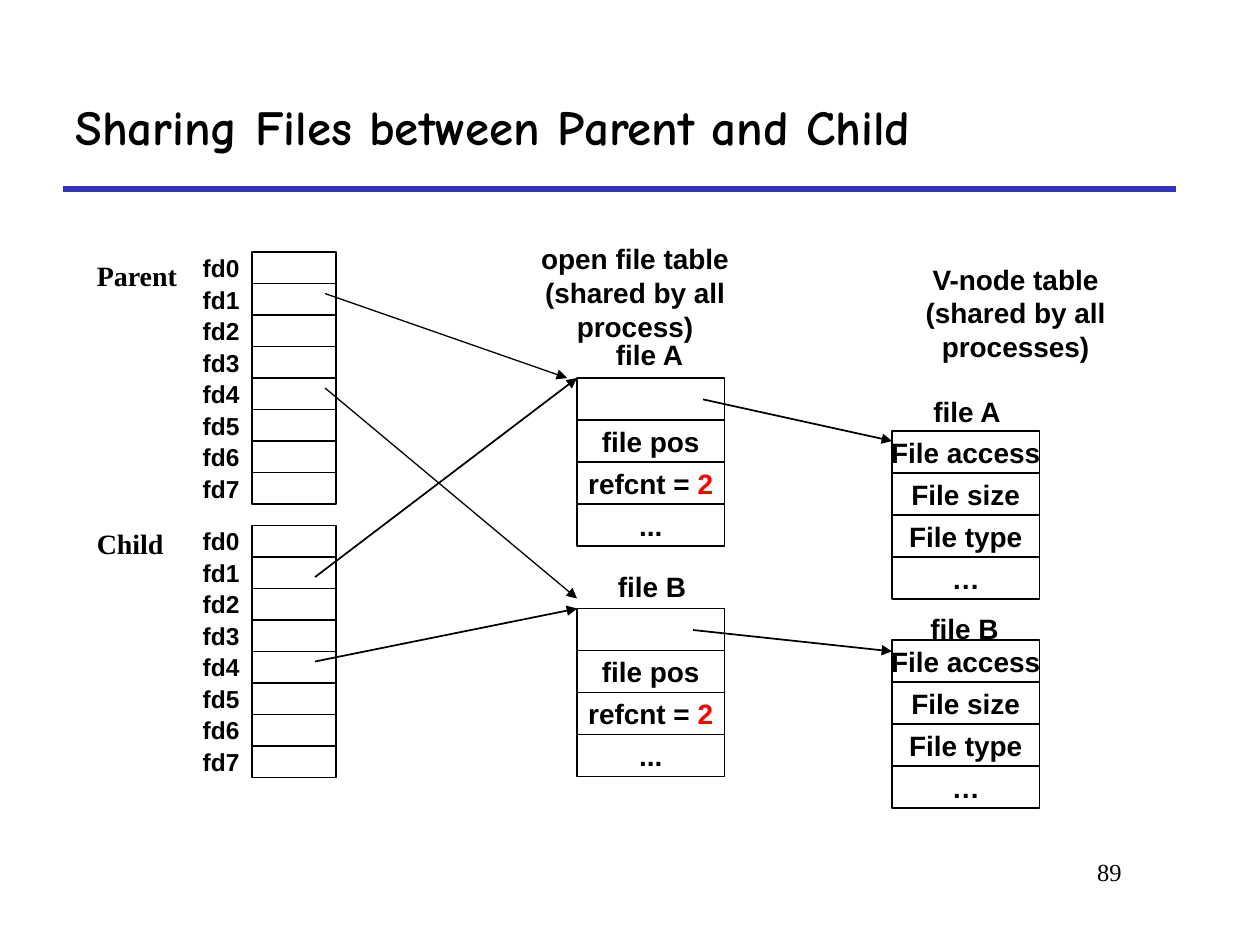
from lxml import etree
from pptx import Presentation
from pptx.dml.color import RGBColor
from pptx.enum.shapes import MSO_CONNECTOR, MSO_SHAPE
from pptx.enum.text import MSO_ANCHOR, PP_ALIGN
from pptx.oxml.ns import qn
from pptx.util import Inches, Pt

LEFT, CENTER, RIGHT = PP_ALIGN.LEFT, PP_ALIGN.CENTER, PP_ALIGN.RIGHT
TOP, MIDDLE = MSO_ANCHOR.TOP, MSO_ANCHOR.MIDDLE
STRAIGHT, RECT = MSO_CONNECTOR.STRAIGHT, MSO_SHAPE.RECTANGLE
BLACK, RED, BLUE = "000000", "FF0000", "3333CC"
SERIF = "Times New Roman"

TITLE = "Sharing Files between Parent and Child"
PAGE = "89"
HEADINGS = [
    (["open file table", "(shared by all process)"], 3.83, 1.87, 2.42),
    (["V-node table", "(shared by all processes)"], 7.12, 2.03, 1.88),
]
PROCESSES = [("Parent", 2, 2), ("Child", 4.13, 4.17)]
DESCRIPTORS = [f"fd{i}" for i in range(8)]
OPEN_FILE = ["", "file pos", [("refcnt = ", BLACK), ("2", RED)], "..."]
V_NODE = ["File access", "File size", "File type", "…"]
FILES = [
    ("file A", 4.78, 2.63, OPEN_FILE, 4.58, 3),
    ("file B", 4.8, 4.47, OPEN_FILE, 4.58, 4.83),
    ("file A", 7.3, 3.08, V_NODE, 7.08, 3.42),
    ("file B", 7.28, 4.8, V_NODE, 7.08, 5.08),
]
ARROWS = [
    (2.58, 2.33, 4.5, 3, 0.75),
    (2.58, 3.08, 4.58, 4.75, 0.75),
    (2.5, 4.58, 4.58, 3, 1),
    (2.5, 5.25, 4.58, 4.83, 1),
    (5.58, 3.17, 7.08, 3.5, 1),
    (5.5, 5, 7.08, 5.17, 1),
]
FD_X, FD_W, FD_H = 2, 0.67, 0.25
CELL_W, CELL_H = 1.17, 1 / 3


def rgb(color):
    return RGBColor.from_string(color)


def write(sp, paragraphs, size=16, font="Arial", bold=True, align=CENTER,
          anchor=MIDDLE, wrap=False):
    tf = sp.text_frame
    tf.word_wrap = wrap
    tf.vertical_anchor = anchor
    for i, runs in enumerate(paragraphs):
        p = tf.add_paragraph() if i else tf.paragraphs[0]
        p.alignment = align
        for text, color in [(runs, BLACK)] if isinstance(runs, str) else runs:
            r = p.add_run()
            r.text = text
            r.font.size = Pt(size)
            r.font.name = font
            r.font.bold = bold
            r.font.color.rgb = rgb(color)


def add_text(shapes, paragraphs, x, y, w, h, **fmt):
    sp = shapes.add_textbox(Inches(x), Inches(y), Inches(w), Inches(h))
    write(sp, paragraphs, **fmt)


def add_cell(shapes, x, y, w, h, text=""):
    sp = shapes.add_shape(RECT, Inches(x), Inches(y), Inches(w), Inches(h))
    sp.shadow.inherit = False
    sp.fill.background()
    sp.line.color.rgb = rgb(BLACK)
    sp.line.width = Pt(1)
    if text:
        write(sp, [text])


def add_line(shapes, x1, y1, x2, y2, width, color=BLACK, arrow=True):
    line = shapes.add_connector(STRAIGHT, Inches(x1), Inches(y1), Inches(x2), Inches(y2))
    line.line.color.rgb = rgb(color)
    line.line.width = Pt(width)
    if arrow:
        etree.SubElement(line.line._get_or_add_ln(), qn("a:tailEnd"), type="triangle")
    etree.SubElement(line._element.spPr, qn("a:effectLst"))


def main():
    prs = Presentation()
    prs.slide_width, prs.slide_height = Inches(10), Inches(7.5)
    s = prs.slides.add_slide(prs.slide_layouts[6])
    shapes = s.shapes

    add_line(shapes, 0.5, 1.5, 9.33, 1.5, 3, color=BLUE, arrow=False)
    add_text(shapes, [TITLE], 0.5, 0.5, 8.83, 1, size=28, font="Comic Neue",
             align=LEFT, wrap=True)
    add_text(shapes, [PAGE], 7.58, 6.75, 1.42, 0.5, size=14, font=SERIF,
             bold=False, align=RIGHT, anchor=TOP, wrap=True)

    for lines, x, y, w in HEADINGS:
        add_text(shapes, lines, x, y, w, 0.9, wrap=True)

    for name, name_y, top in PROCESSES:
        add_text(shapes, [name], 0.67, name_y, 1.75, 0.37, font=SERIF,
                 align=LEFT, anchor=TOP, wrap=True)
        group = shapes.add_group_shape().shapes
        for i, fd in enumerate(DESCRIPTORS):
            y = top + i * FD_H
            add_cell(group, FD_X, y, FD_W, FD_H)
            add_text(group, [fd], FD_X - FD_W, y, FD_W, FD_H, size=14,
                     align=RIGHT, wrap=True)

    for label, label_x, label_y, cells, x, top in FILES:
        add_text(shapes, [label], label_x, label_y, 0.75, 0.37)
        for i, text in enumerate(cells):
            add_cell(shapes, x, top + i * CELL_H, CELL_W, CELL_H, text)

    for arrow in ARROWS:
        add_line(shapes, *arrow)

    prs.save("out.pptx")


if __name__ == "__main__":
    main()
